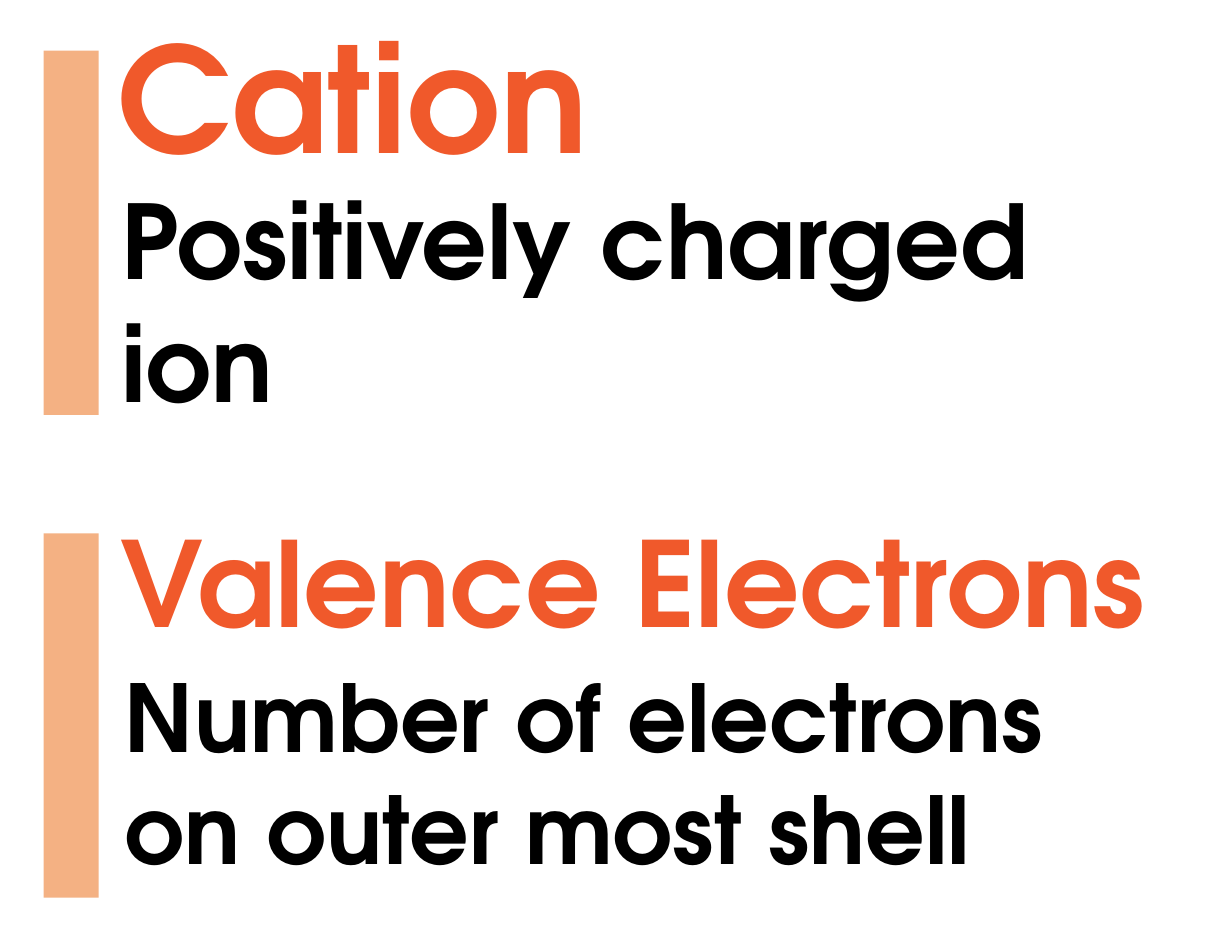
from dataclasses import dataclass

from pptx import Presentation
from pptx.dml.color import RGBColor
from pptx.enum.shapes import MSO_SHAPE
from pptx.enum.text import MSO_ANCHOR
from pptx.slide import Slide
from pptx.util import Cm, Pt

FONT = "TeX Gyre Adventor"
ORANGE, BLACK, PEACH = "F0592B", "000000", "F4B183"


@dataclass
class Wording:
    text: str
    left: float
    top: float
    width: float
    height: float
    size: int
    color: str
    anchor: MSO_ANCHOR


@dataclass
class Entry:
    term: str
    term_size: int
    definition: str
    definition_size: int
    left: float
    term_top: float
    definition_top: float
    bar_top: float


ENTRIES = [
    Entry("Cation", 94, "Positively charged ion", 66, 2.41, 0, 3.89, 1.15),
    Entry("Valence Electrons", 76, "Number of electrons on outer most shell", 60,
          2.49, 11, 14.83, 12.1),
]


def rgb(value: str) -> RGBColor:
    return RGBColor.from_string(value)


def draw_wording(slide: Slide, wording: Wording) -> None:
    box = slide.shapes.add_textbox(
        Cm(wording.left), Cm(wording.top), Cm(wording.width), Cm(wording.height))
    frame = box.text_frame
    frame.word_wrap = True
    frame.vertical_anchor = wording.anchor
    frame.text = wording.text
    font = frame.paragraphs[0].runs[0].font
    font.name = FONT
    font.size = Pt(wording.size)
    font.bold = True
    font.color.rgb = rgb(wording.color)


def draw_bar(slide: Slide, top: float) -> None:
    bar = slide.shapes.add_shape(
        MSO_SHAPE.RECTANGLE, Cm(0.99), Cm(top), Cm(1.25), Cm(8.26))
    bar.shadow.inherit = False
    bar.fill.solid()
    bar.fill.fore_color.rgb = rgb(PEACH)
    bar.line.fill.background()


def draw_entry(slide: Slide, entry: Entry) -> None:
    draw_wording(slide, Wording(
        entry.definition, entry.left + 0.09, entry.definition_top, 24, 5.54,
        entry.definition_size, BLACK, MSO_ANCHOR.TOP))
    draw_wording(slide, Wording(
        entry.term, entry.left, entry.term_top, 24.36, 4.32,
        entry.term_size, ORANGE, MSO_ANCHOR.MIDDLE))
    draw_bar(slide, entry.bar_top)


def main() -> None:
    """Build a vocabulary slide with two terms and their definitions."""
    deck = Presentation()
    deck.slide_width, deck.slide_height = Cm(27.94), Cm(21.59)
    slide = deck.slides.add_slide(deck.slide_layouts[6])
    for entry in ENTRIES:
        draw_entry(slide, entry)
    deck.save("out.pptx")


if __name__ == "__main__":
    main()
